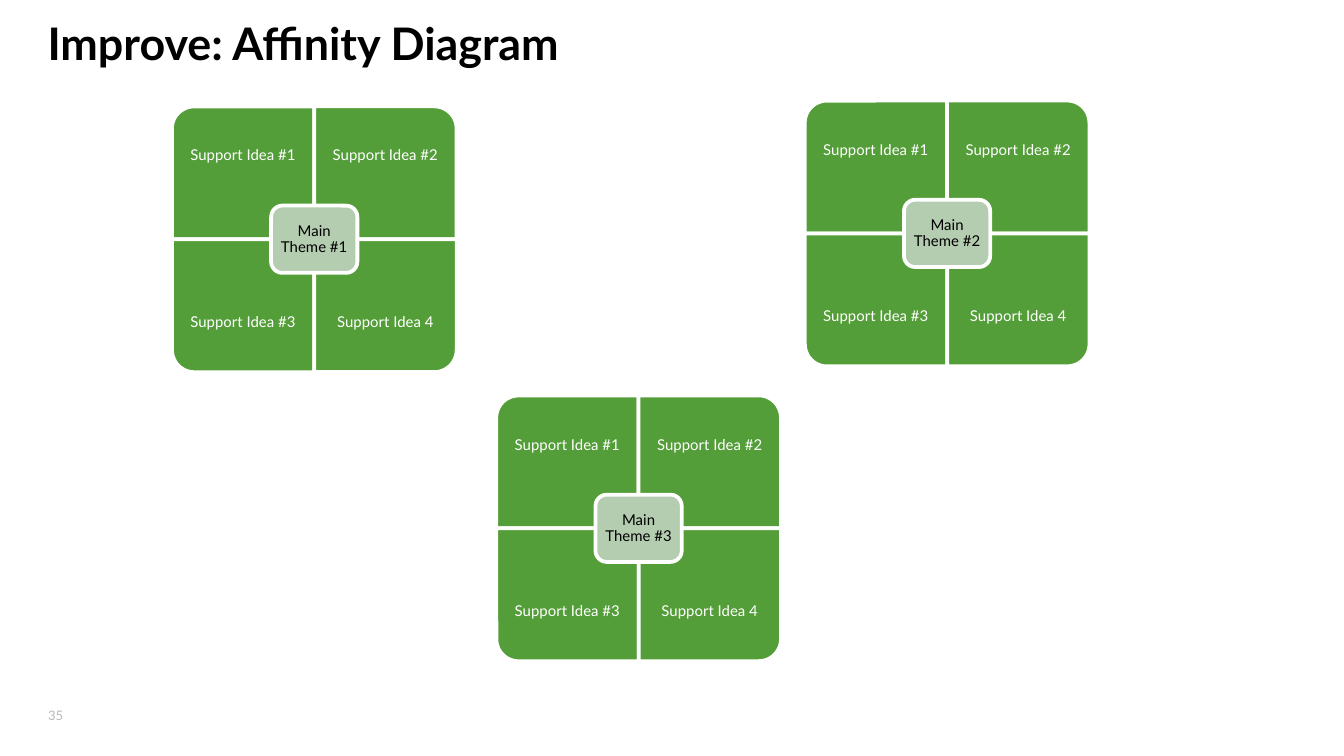
"""Build an affinity diagram slide with three themes and their support ideas."""
import pptx
import pptx.util
import pptx.dml.color
import pptx.enum.shapes
import pptx.enum.text

Cm = pptx.util.Cm
Pt = pptx.util.Pt
Shape = pptx.enum.shapes.MSO_SHAPE
Align = pptx.enum.text.PP_ALIGN
Anchor = pptx.enum.text.MSO_ANCHOR

WHITE, BLACK, GREEN, SAGE, GRAY = "FFFFFF", "000000", "549E39", "B4CCAF", "B9B8BB"
WIDE, HIGH, LABEL = 2.69, 2.51, 1.88
IDEAS = [
    ("Support Idea #1", -1, -1, 270),
    ("Support Idea #2", 1, -1, 0),
    ("Support Idea #3", -1, 1, 180),
    ("Support Idea 4", 1, 1, 90),
]
THEMES = [
    ("Main Theme #1", 5.94, 4.52),
    ("Main Theme #2", 17.9, 4.41),
    ("Main Theme #3", 12.07, 9.98),
]


def color(code):
    return pptx.dml.color.RGBColor.from_string(code)


class Board:
    font = "Lato"
    edge = 2

    def __init__(self, slide):
        self.slide = slide

    def text(self, home, words, x, y, w, h, size, ink, bold=False,
             align=Align.LEFT, anchor=Anchor.MIDDLE, inset=0, space=1):
        box = home.add_textbox(Cm(x), Cm(y), Cm(w), Cm(h))
        frame = box.text_frame
        frame.word_wrap = True
        frame.vertical_anchor = anchor
        frame.margin_left = frame.margin_right = Cm(inset)
        frame.margin_top = frame.margin_bottom = Cm(inset)
        frame.text = words
        line = frame.paragraphs[0]
        line.alignment = align
        line.line_spacing = space
        font = line.runs[0].font
        font.name, font.size, font.bold = self.font, Pt(size), bold
        font.color.rgb = color(ink)

    def label(self, home, words, x, y, w, h, ink, inset):
        self.text(home, words, x - w / 2, y - h / 2, w, h, 8, ink,
                  align=Align.CENTER, inset=inset, space=0.9)

    def tile(self, home, kind, x, y, w, h, fill, turn=0):
        if turn % 180:
            w, h = h, w
        shape = home.add_shape(kind, Cm(x - w / 2), Cm(y - h / 2), Cm(w), Cm(h))
        shape.rotation = turn
        shape.shadow.inherit = False
        shape.fill.solid()
        shape.fill.fore_color.rgb = color(fill)
        shape.line.color.rgb = color(WHITE)
        shape.line.width = Pt(self.edge)

    def theme(self, name, x, y):
        home = self.slide.shapes.add_group_shape().shapes
        for idea, col, row, turn in IDEAS:
            mid = x + col * WIDE / 2
            self.tile(home, Shape.ROUND_1_RECTANGLE, mid, y + row * HIGH / 2,
                      WIDE, HIGH, GREEN, turn)
            self.label(home, idea, mid, y + row * (HIGH - LABEL / 2),
                       WIDE, LABEL, WHITE, 0.15)
        self.tile(home, Shape.ROUNDED_RECTANGLE, x, y, 1.63, 1.27, SAGE)
        self.label(home, name, x, y, 1.5, 1.14, BLACK, 0.08)


def main():
    deck = pptx.Presentation()
    deck.slide_width, deck.slide_height = Cm(25.4), Cm(14.28)
    board = Board(deck.slides.add_slide(deck.slide_layouts[6]))
    shapes = board.slide.shapes
    board.text(shapes, "35", 0.91, 13.31, 0.89, 0.41, 7, GRAY)
    board.text(shapes, "Improve: Affinity Diagram", 0.9, 0.3, 23.6, 1.02, 24,
               BLACK, bold=True, anchor=Anchor.TOP)
    for name, x, y in THEMES:
        board.theme(name, x, y)
    deck.save("out.pptx")


if __name__ == "__main__":
    main()
